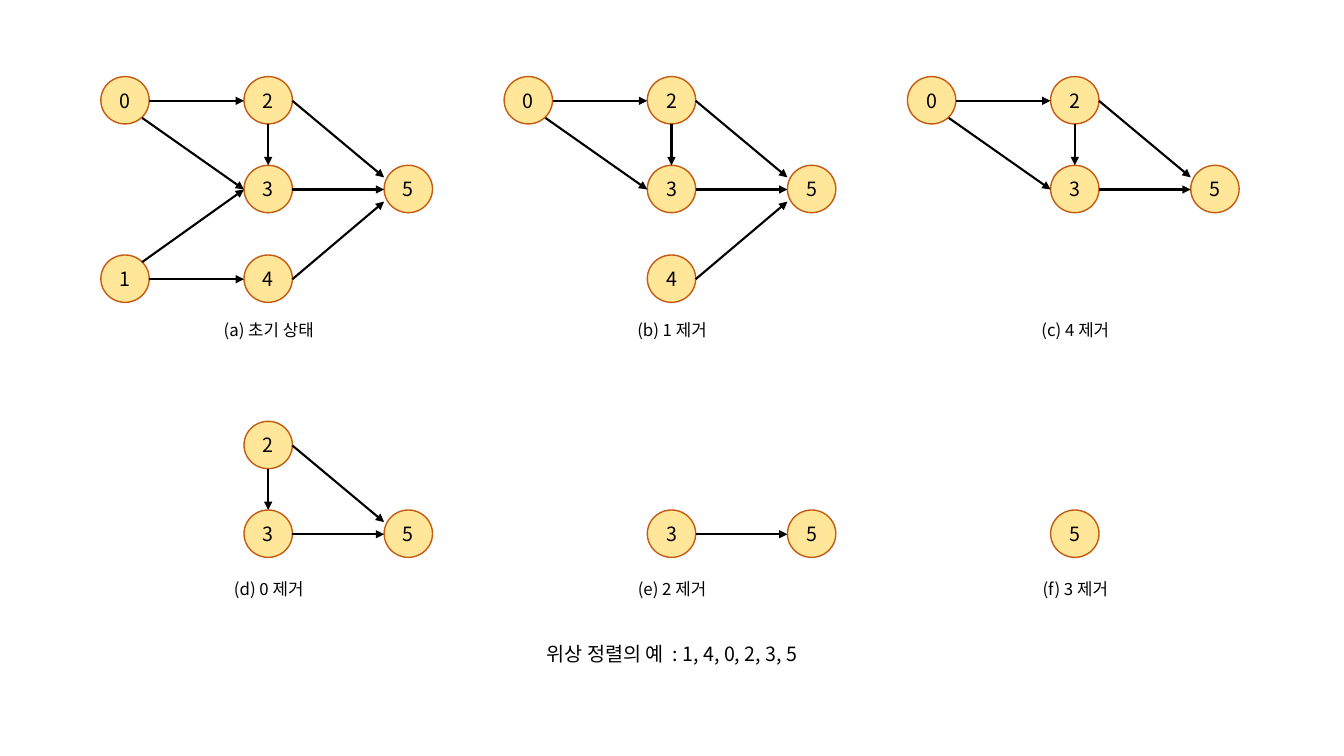
import dataclasses

import pptx
import pptx.dml.color
import pptx.enum.dml
import pptx.enum.shapes
import pptx.enum.text
import pptx.oxml
import pptx.oxml.ns
import pptx.shapes.connector
import pptx.slide
import pptx.util

PX = 9144  # EMU in one px, 100 px to the inch
FONT = "Noto Sans CJK KR"
BLACK, NODE_FILL, NODE_LINE = "000000", "FFE699", "C55A11"
NODE_WIDTH, NODE_HEIGHT = 48, 47
COLUMNS = (100, 242, 381)
ROWS = (76, 164, 253)
PANEL_STEP_X, PANEL_STEP_Y = 400, 342

# Where an edge may touch a node, measured from the node's top left corner
PORTS = {
    "left": (0, 24), "right": (48, 24), "top": (24, 0), "bottom": (24, 47),
    "upper left": (0, 12), "lower left": (0, 36),
    "upper right": (41, 7), "lower right": (41, 41),
}
# Column and row of each node within a panel
NODE_CELLS = {"0": (0, 0), "1": (0, 2), "2": (1, 0), "3": (1, 1), "4": (1, 2), "5": (2, 1)}


@dataclasses.dataclass(frozen=True)
class Edge:
    source: str
    source_port: str
    target: str
    target_port: str


@dataclasses.dataclass(frozen=True)
class Panel:
    caption: str
    nodes: str
    column: int
    row: int
    caption_top: int


EDGES = (
    Edge("0", "right", "2", "left"),
    Edge("0", "lower right", "3", "left"),
    Edge("1", "upper right", "3", "left"),
    Edge("1", "right", "4", "left"),
    Edge("2", "bottom", "3", "top"),
    Edge("2", "right", "5", "upper left"),
    Edge("4", "right", "5", "lower left"),
    Edge("3", "right", "5", "left"),
)
PANELS = (
    Panel("(a) 초기 상태", "012345", 0, 0, 312),
    Panel("(b) 1 제거", "02345", 1, 0, 312),
    Panel("(c) 4 제거", "0235", 2, 0, 312),
    Panel("(d) 0 제거", "235", 0, 1, 569),
    Panel("(e) 2 제거", "35", 1, 1, 569),
    Panel("(f) 3 제거", "5", 2, 1, 569),
)


def px(length: int) -> pptx.util.Emu:
    return pptx.util.Emu(length * PX)


def color(value: str) -> pptx.dml.color.RGBColor:
    return pptx.dml.color.RGBColor.from_string(value)


def write_text(frame: pptx.text.text.TextFrame, text: str, size: int) -> None:
    para = frame.paragraphs[0]
    para.text = text
    para.alignment = pptx.enum.text.PP_ALIGN.CENTER
    para.font.size = pptx.util.Pt(size)
    para.font.name = FONT
    para.font.color.rgb = color(BLACK)
    # Korean glyphs take the East Asian typeface
    properties = para.font._element
    east_asian = pptx.oxml.parse_xml(
        f'<a:ea {pptx.oxml.ns.nsdecls("a")} typeface="{FONT}"/>')
    properties.append(east_asian)


def add_label(page: pptx.slide.Slide, text: str, left: int, top: int,
              width: int, height: int, size: int) -> None:
    box = page.shapes.add_textbox(px(left), px(top), px(width), px(height))
    box.text_frame.word_wrap = True
    box.text_frame.auto_size = pptx.enum.text.MSO_AUTO_SIZE.SHAPE_TO_FIT_TEXT
    write_text(box.text_frame, text, size)


def add_node(page: pptx.slide.Slide, name: str, left: int, top: int) -> None:
    circle = page.shapes.add_shape(
        pptx.enum.shapes.MSO_SHAPE.OVAL, px(left), px(top), px(NODE_WIDTH), px(NODE_HEIGHT))
    circle.shadow.inherit = False
    circle.fill.solid()
    circle.fill.fore_color.rgb = color(NODE_FILL)
    circle.line.color.rgb = color(NODE_LINE)
    circle.line.width = pptx.util.Pt(1)
    frame = circle.text_frame
    frame.margin_left = frame.margin_right = frame.margin_top = frame.margin_bottom = 0
    frame.vertical_anchor = pptx.enum.text.MSO_ANCHOR.MIDDLE
    write_text(frame, name, 14)


def add_arrow(page: pptx.slide.Slide, start: tuple[int, int], end: tuple[int, int]) -> None:
    arrow = page.shapes.add_connector(
        pptx.enum.shapes.MSO_CONNECTOR.STRAIGHT, *map(px, start), *map(px, end))
    arrow.line.color.rgb = color(BLACK)
    arrow.line.width = pptx.util.Pt(1.5)
    namespace = pptx.oxml.ns.nsdecls("a")
    arrow.line._get_or_add_ln().append(
        pptx.oxml.parse_xml(f'<a:tailEnd {namespace} type="triangle"/>'))
    arrow._element.spPr.append(pptx.oxml.parse_xml(f"<a:effectLst {namespace}/>"))


def node_corner(panel: Panel, name: str) -> tuple[int, int]:
    column, row = NODE_CELLS[name]
    if len(panel.nodes) == 1:  # a lone node stands above its caption
        column = 1
    return (COLUMNS[column] + panel.column * PANEL_STEP_X,
            ROWS[row] + panel.row * PANEL_STEP_Y)


def port_point(panel: Panel, name: str, port: str) -> tuple[int, int]:
    left, top = node_corner(panel, name)
    across, down = PORTS[port]
    return left + across, top + down


def draw_panel(page: pptx.slide.Slide, panel: Panel) -> None:
    for name in panel.nodes:
        add_node(page, name, *node_corner(panel, name))
    # Only edges whose two nodes both remain are drawn
    for edge in EDGES:
        if edge.source in panel.nodes and edge.target in panel.nodes:
            add_arrow(page, port_point(panel, edge.source, edge.source_port),
                      port_point(panel, edge.target, edge.target_port))
    add_label(page, panel.caption, 179 + panel.column * PANEL_STEP_X,
              panel.caption_top, 175, 30, 12)


def main() -> None:
    deck = pptx.Presentation()
    deck.slide_width, deck.slide_height = px(1333), px(750)
    page = deck.slides.add_slide(deck.slide_layouts.get_by_name("Blank"))

    # Six steps of the sort
    for panel in PANELS:
        draw_panel(page, panel)

    # Resulting order
    add_label(page, "위상 정렬의 예  : 1, 4, 0, 2, 3, 5", 382, 632, 569, 34, 14)
    deck.save("out.pptx")


if __name__ == "__main__":
    main()
